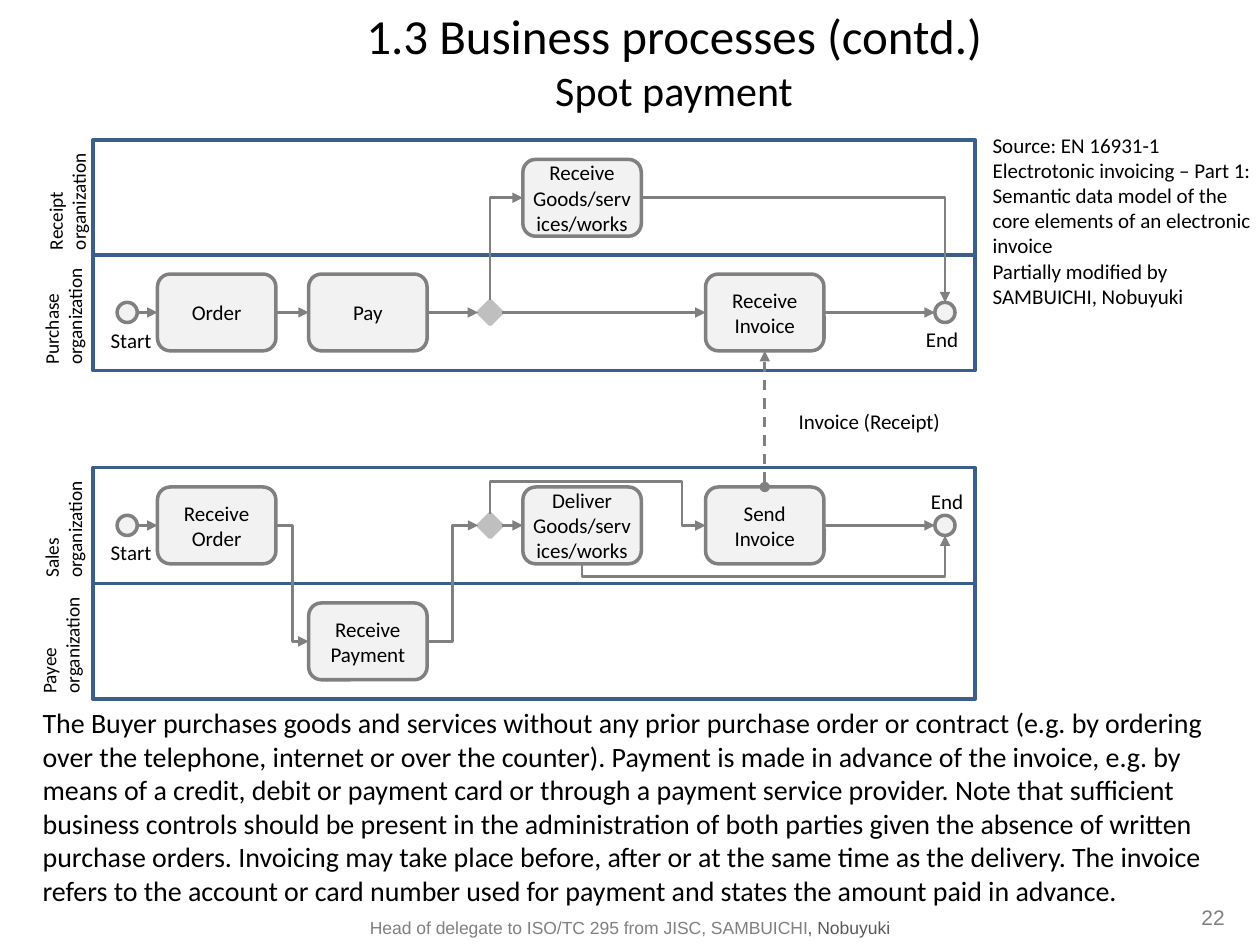
"""Build the spot payment process slide with swimlanes and flows."""
from lxml import etree
from pptx import Presentation
from pptx.dml.color import RGBColor
from pptx.enum.dml import MSO_LINE
from pptx.enum.shapes import MSO_CONNECTOR, MSO_SHAPE
from pptx.enum.text import MSO_ANCHOR, MSO_AUTO_SIZE, PP_ALIGN
from pptx.oxml.ns import qn
from pptx.util import Inches, Pt

ROUND, CIRCLE = MSO_SHAPE.ROUNDED_RECTANGLE, MSO_SHAPE.OVAL
DIAMOND, RECT = MSO_SHAPE.FLOWCHART_DECISION, MSO_SHAPE.RECTANGLE
STRAIGHT, ELBOW = MSO_CONNECTOR.STRAIGHT, MSO_CONNECTOR.ELBOW
DASH, NO_FIT = MSO_LINE.DASH, MSO_AUTO_SIZE.NONE
LEFT, CENTER, RIGHT = PP_ALIGN.LEFT, PP_ALIGN.CENTER, PP_ALIGN.RIGHT
TOP, MIDDLE, BOTTOM = MSO_ANCHOR.TOP, MSO_ANCHOR.MIDDLE, MSO_ANCHOR.BOTTOM
GREY, PALE, SILVER, BLUE, BLACK = "808080", "F2F2F2", "BFBFBF", "3A5F8C", "000000"

LANE_X, LANE_W, LANE_H = 0.74, 7, 0.92
# name: (top, label centre)
LANES = {"Receipt": (1.11, 0.53), "Purchase": (2.02, 0.5),
         "Sales": (3.71, 0.5), "Payee": (4.63, 0.48)}
COLUMNS = {"start": 1.01, "order": 1.72, "pay": 2.92, "split": 3.89,
           "goods": 4.62, "invoice": 6.07, "end": 7.5}
KINDS = {"task": (ROUND, 0.94, 0.61, PALE, GREY),
         "event": (CIRCLE, 0.16, 0.16, PALE, GREY),
         "gateway": (DIAMOND, 0.19, 0.19, SILVER, SILVER)}
NODES = [
    ("Purchase", "start", "event", ""), ("Purchase", "order", "task", "Order"),
    ("Purchase", "pay", "task", "Pay"), ("Purchase", "split", "gateway", ""),
    ("Receipt", "goods", "task", "Receive Goods/services/works"),
    ("Purchase", "invoice", "task", "Receive Invoice"),
    ("Purchase", "end", "event", ""),
    ("Sales", "start", "event", ""), ("Sales", "order", "task", "Receive Order"),
    ("Payee", "pay", "task", "Receive Payment"), ("Sales", "split", "gateway", ""),
    ("Sales", "goods", "task", "Deliver Goods/services/works"),
    ("Sales", "invoice", "task", "Send Invoice"), ("Sales", "end", "event", ""),
]
SIDES = {"left": (-0.5, 0), "right": (0.5, 0), "top": (0, -0.5), "bottom": (0, 0.5)}
STRAIGHT_FLOWS = [
    ("Purchase", ["start", "order", "pay", "split", "invoice", "end"]),
    ("Sales", ["start", "order"]), ("Sales", ["split", "goods"]),
    ("Sales", ["invoice", "end"]),
]
# from lane, column, side; to lane, column, side; preset; adjustments
BENT_FLOWS = [
    ("Purchase", "split", "top", "Receipt", "goods", "left", "bentConnector2", []),
    ("Receipt", "goods", "right", "Purchase", "end", "top", "bentConnector2", []),
    ("Sales", "order", "right", "Payee", "pay", "left", "bentConnector3", [0.5]),
    ("Payee", "pay", "right", "Sales", "split", "left", "bentConnector3", [0.5]),
    ("Sales", "split", "top", "Sales", "invoice", "left", "bentConnector4", [-2.7, 0.89]),
    ("Sales", "goods", "bottom", "Sales", "end", "bottom", "bentConnector3", [-0.45]),
]
LABELS = [("Start", 0.78, 2.55, 0.53), ("Start", 0.78, 4.23, 0.53), ("End", 7.25, 2.54, 0.46),
          ("End", 7.29, 3.83, 0.46), ("Invoice (Receipt)", 6.24, 3.19, 1.34)]
SUMMARY = (
    "The Buyer purchases goods and services without any prior purchase order or contract "
    "(e.g. by ordering over the telephone, internet or over the counter). Payment is made in "
    "advance of the invoice, e.g. by means of a credit, debit or payment card or through a "
    "payment service provider. Note that sufficient business controls should be present in the "
    "administration of both parties given the absence of written purchase orders. Invoicing may "
    "take place before, after or at the same time as the delivery. The invoice refers to the "
    "account or card number used for payment and states the amount paid in advance.")
SOURCE = ("Source: EN 16931-1 Electrotonic invoicing – Part 1: Semantic data model of the core "
          "elements of an electronic invoice\nPartially modified by SAMBUICHI, Nobuyuki")
FOOTER = ["Head of delegate to ISO/TC 295 from JISC, SAMBUICHI", ", Nobuyuki"]


def rgb(value):
    return RGBColor.from_string(value)


def style(run, size, color=BLACK, font="Calibri"):
    run.font.size, run.font.name = Pt(size), font
    run.font.color.rgb = rgb(color)


def write(sp, text, size, color=BLACK, font="Calibri", align=LEFT, anchor=TOP,
          insets=(0.1, 0.05), wrap=True):
    tf = sp.text_frame
    tf.text = text
    tf.word_wrap, tf.auto_size, tf.vertical_anchor = wrap, NO_FIT, anchor
    tf.margin_left = tf.margin_right = Inches(insets[0])
    tf.margin_top = tf.margin_bottom = Inches(insets[1])
    for p in tf.paragraphs:
        p.alignment = align
        for r in p.runs:
            style(r, size, color, font)
    return tf


def add_text(s, box, text, size, **options):
    sp = s.shapes.add_textbox(*map(Inches, box))
    write(sp, text, size, **options)
    return sp


def add_box(s, shape, box, fill, line):
    sp = s.shapes.add_shape(shape, *map(Inches, box))
    sp.shadow.inherit = False
    if fill:
        sp.fill.solid()
        sp.fill.fore_color.rgb = rgb(fill)
    else:
        sp.fill.background()
    sp.line.color.rgb, sp.line.width = rgb(line), Pt(2)
    return sp


def add_flow(s, begin, end, kind=STRAIGHT, head=None, dash=None):
    c = s.shapes.add_connector(kind, *map(Inches, begin + end))
    c.line.color.rgb, c.line.width = rgb(GREY), Pt(1.5)
    if dash:
        c.line.dash_style = dash
    ln = c.line._get_or_add_ln()
    if head:
        etree.SubElement(ln, qn("a:headEnd"), type=head)
    etree.SubElement(ln, qn("a:tailEnd"), type="triangle")
    etree.SubElement(c._element.spPr, qn("a:effectLst"))
    return c


def bend(c, begin, end, vertical, preset, adjustments):
    """Set the elbow preset, turning the frame when the flow starts vertically."""
    spPr = c._element.spPr
    geom = spPr.find(qn("a:prstGeom"))
    geom.set("prst", preset)
    guides = geom.find(qn("a:avLst"))
    for i, value in enumerate(adjustments, 1):
        name = "adj" if preset == "bentConnector2" else f"adj{i}"
        etree.SubElement(guides, qn("a:gd"), name=name, fmla=f"val {round(value * 100000)}")
    if vertical:
        (x1, y1), (x2, y2) = begin, end
        w, h = abs(y2 - y1), abs(x2 - x1)
        c.left, c.top = Inches((x1 + x2 - w) / 2), Inches((y1 + y2 - h) / 2)
        c.width, c.height = Inches(w), Inches(h)
        xfrm = spPr.find(qn("a:xfrm"))
        xfrm.set("rot", str(90 * 60000))
        xfrm.set("flipH", str(int(y2 < y1)))
        xfrm.set("flipV", str(int(x2 > x1)))


def main():
    prs = Presentation()
    prs.slide_width, prs.slide_height = Inches(10), Inches(7.5)
    s = prs.slides.add_slide(prs.slide_layouts[5])
    title = s.shapes.title
    title.left, title.top, title.width, title.height = map(Inches, (0.98, 0.3, 8.74, 0.61))
    tf = write(title, "1.3 Business processes (contd.)\vSpot payment", 28,
               align=CENTER, anchor=BOTTOM, insets=(0, 0))
    tf.paragraphs[0].runs[1].font.size = Pt(24)

    for name, (top, label_x) in LANES.items():
        add_box(s, RECT, (LANE_X, top, LANE_W, LANE_H), None, BLUE)
        box = (label_x - LANE_H / 2, top + LANE_H / 2 - 0.23, LANE_H, 0.45)
        label = add_text(s, box, f"{name} organization", 11, insets=(0.04, 0.04))
        label.rotation = 270

    frames = {}
    for lane, column, kind, text in NODES:
        shape, w, h, fill, line = KINDS[kind]
        x, y = COLUMNS[column], LANES[lane][0] + LANE_H / 2
        frames[lane, column] = x, y, w, h
        sp = add_box(s, shape, (x - w / 2, y - h / 2, w, h), fill, line)
        if text:
            write(sp, text, 12, align=CENTER, anchor=MIDDLE, insets=(0.04, 0.04))

    def port(lane, column, side):
        x, y, w, h = frames[lane, column]
        dx, dy = SIDES[side]
        return x + dx * w, y + dy * h

    for lane, columns in STRAIGHT_FLOWS:
        for a, b in zip(columns, columns[1:]):
            add_flow(s, port(lane, a, "right"), port(lane, b, "left"))
    for *ends, preset, adjustments in BENT_FLOWS:
        begin, end = port(*ends[:3]), port(*ends[3:])
        c = add_flow(s, begin, end, ELBOW)
        bend(c, begin, end, ends[2] in ("top", "bottom"), preset, adjustments)
    add_flow(s, port("Sales", "invoice", "top"), port("Purchase", "invoice", "bottom"),
             head="oval", dash=DASH)

    for text, x, y, w in LABELS:
        add_text(s, (x, y, w, 0.3), text, 12, wrap=False)
    add_text(s, (0.24, 5.55, 9.49, 1.72), SUMMARY, 16)
    add_text(s, (7.78, 1, 2.37, 1.54), SOURCE, 12)
    add_text(s, (9.25, 7.18, 0.55, 0.31), "22", 12, color=GREY, font="Arial",
             align=RIGHT, insets=(0.08, 0))
    footer = add_text(s, (2.6, 7.23, 4.8, 0.27), FOOTER[0], 10, color=GREY, font="Arial",
                      align=CENTER, anchor=MIDDLE)
    r = footer.text_frame.paragraphs[0].add_run()
    r.text = FOOTER[1]
    style(r, 10, "595959", "Arial")
    prs.save("out.pptx")


if __name__ == "__main__":
    main()
